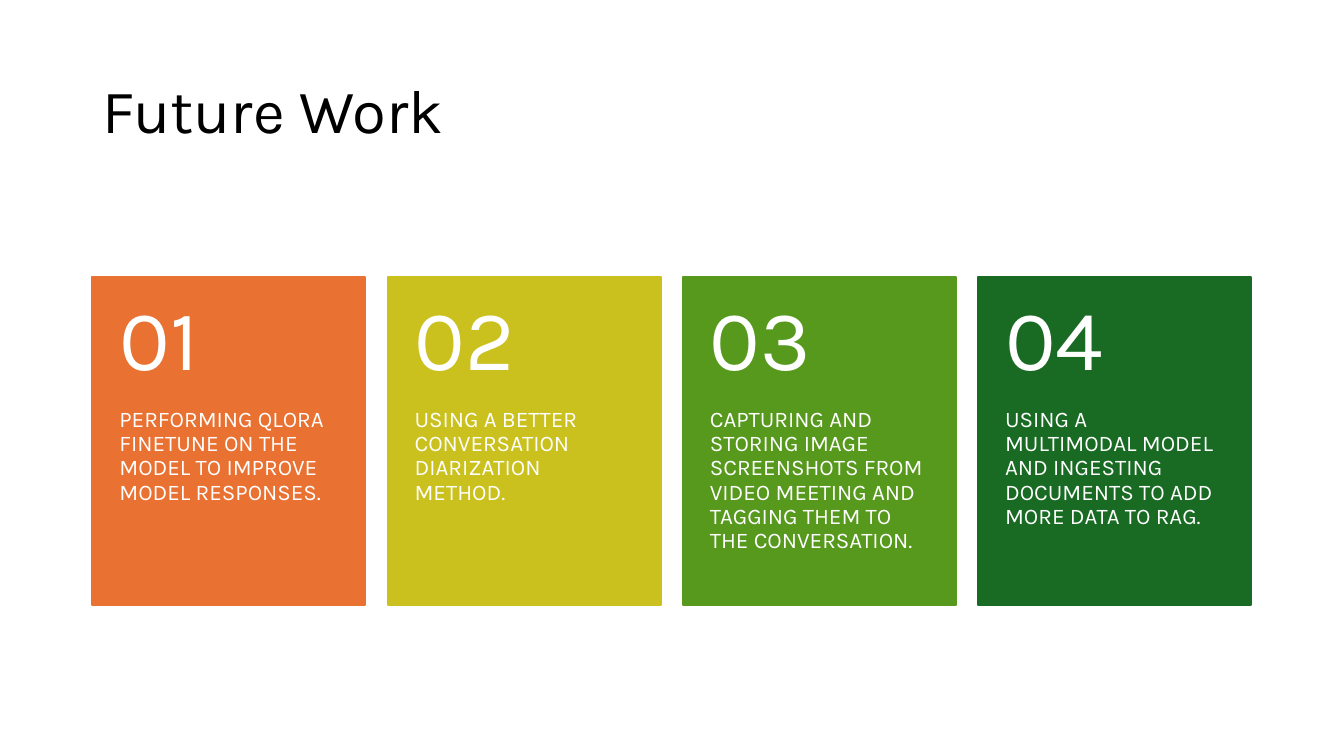
from pptx import Presentation
from pptx import util as u
from pptx.dml.color import RGBColor
from pptx.enum import shapes, text

BLACK = RGBColor(0x00, 0x00, 0x00)
WHITE = RGBColor(0xFF, 0xFF, 0xFF)
ORANGE = RGBColor(0xE9, 0x71, 0x32)
YELLOW = RGBColor(0xCB, 0xC1, 0x1E)
GREEN = RGBColor(0x56, 0x99, 0x1D)
DARK_GREEN = RGBColor(0x19, 0x6B, 0x24)

LEFT, CARD_TOP = 2.33, 6.99
CARD_WIDTH, CARD_HEIGHT, CARD_STEP = 6.88, 8.25, 7.44
NUMBER_HEIGHT = 3.3


def write_text(shape, content, *, size, color, anchor, insets):
    frame = shape.text_frame
    frame.word_wrap = True
    frame.auto_size = text.MSO_AUTO_SIZE.NONE
    frame.vertical_anchor = anchor
    frame.margin_left, frame.margin_top, frame.margin_right, frame.margin_bottom = map(u.Cm, insets)
    paragraph = frame.paragraphs[0]
    paragraph.alignment = text.PP_ALIGN.LEFT
    paragraph.line_spacing = 0.9
    run = paragraph.add_run()
    run.text = content
    run.font.name = "Karla"
    run.font.size = u.Pt(size)
    run.font.color.rgb = color


presentation = Presentation()
presentation.slide_width = u.Cm(33.87)
presentation.slide_height = u.Cm(19.05)
slide = presentation.slides.add_slide(presentation.slide_layouts[5])

title = slide.shapes.title
title.left, title.top, title.width, title.height = map(u.Cm, (LEFT, 1.01, 29.21, 3.68))
write_text(title, "Future Work", size=44, color=BLACK,
           anchor=text.MSO_ANCHOR.MIDDLE, insets=(0.25, 0.13, 0.25, 0.13))

cards = [
    (ORANGE, "PERFORMING QLORA FINETUNE ON THE MODEL TO IMPROVE MODEL RESPONSES."),
    (YELLOW, "USING A BETTER CONVERSATION DIARIZATION METHOD."),
    (GREEN, "CAPTURING AND STORING IMAGE SCREENSHOTS FROM VIDEO MEETING AND TAGGING THEM TO THE CONVERSATION."),
    (DARK_GREEN, "USING A MULTIMODAL MODEL AND INGESTING DOCUMENTS TO ADD MORE DATA TO RAG."),
]

for index, (color, description) in enumerate(cards):
    left = u.Cm(LEFT + index * CARD_STEP)
    width = u.Cm(CARD_WIDTH)
    group = slide.shapes.add_group_shape()

    card = group.shapes.add_shape(shapes.MSO_SHAPE.RECTANGLE, left, u.Cm(CARD_TOP),
                                  width, u.Cm(CARD_HEIGHT))
    card.shadow.inherit = False
    card.fill.solid()
    card.fill.fore_color.rgb = color
    card.line.color.rgb = color
    card.line.width = u.Pt(1.5)

    body = group.shapes.add_textbox(left, u.Cm(CARD_TOP + NUMBER_HEIGHT),
                                    width, u.Cm(CARD_HEIGHT - NUMBER_HEIGHT))
    write_text(body, description, size=16, color=WHITE,
               anchor=text.MSO_ANCHOR.TOP, insets=(0.68, 0, 0.68, 0.91))

    number = group.shapes.add_textbox(left, u.Cm(CARD_TOP), width, u.Cm(NUMBER_HEIGHT))
    write_text(number, f"{index + 1:02d}", size=61, color=WHITE,
               anchor=text.MSO_ANCHOR.MIDDLE, insets=(0.68, 0.46, 0.68, 0.46))

presentation.save("out.pptx")
